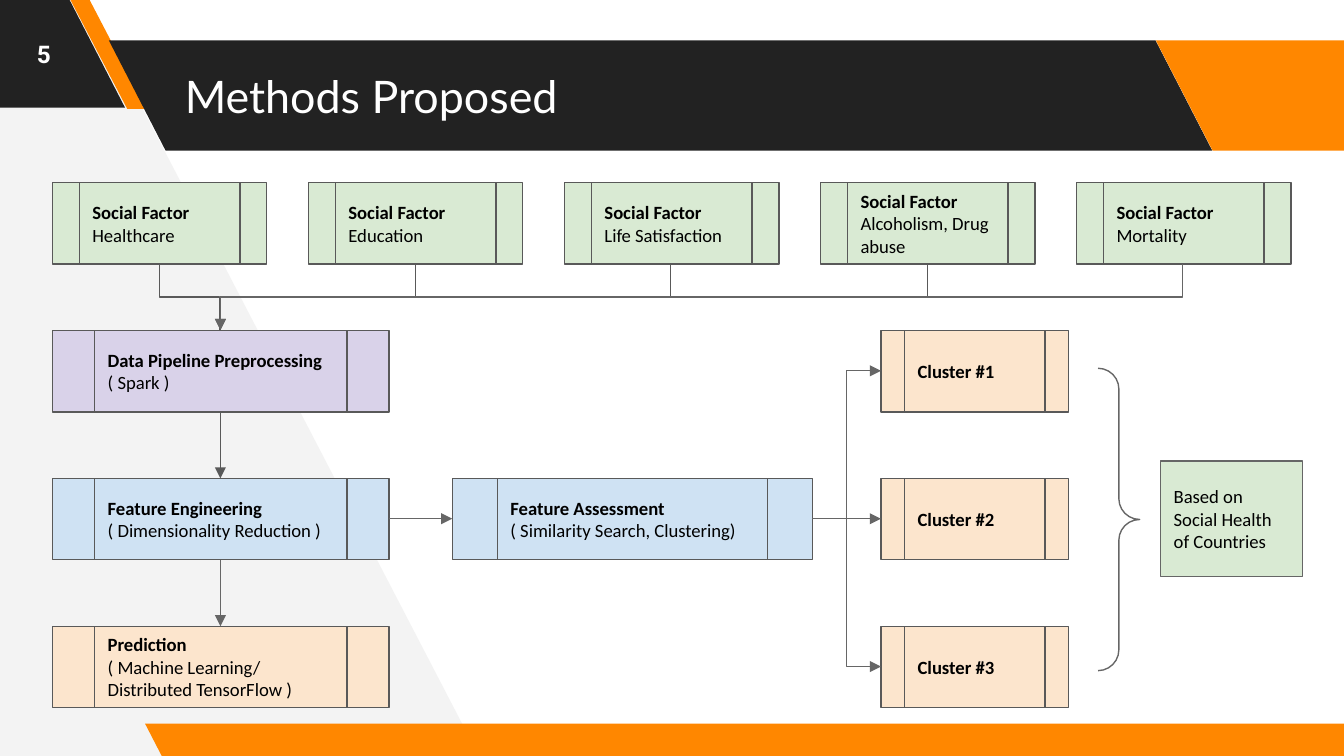
from dataclasses import dataclass

from lxml import etree
from pptx import Presentation
from pptx import util as u
from pptx.dml.color import RGBColor
from pptx.enum import shapes, text
from pptx.oxml.ns import qn

PX = 4572
COLORS = {
    "dark": "222222", "orange": "FF8700", "pale": "F3F3F3", "white": "FFFFFF",
    "black": "000000", "green": "D9EAD3", "violet": "D9D2E9", "blue": "CFE2F3",
    "peach": "FCE5CD", "outline": "595959", "grey": "666666",
}
ROWS = [272 + 220 * row for row in range(4)]
BOX_H = 121
FACTOR_W = 319


@dataclass(frozen=True)
class Band:
    left: int
    top: int
    width: int
    height: int
    color: str
    slant: float = 0.515


@dataclass(frozen=True)
class Box:
    left: int
    row: int
    width: int
    color: str
    heading: str
    detail: str = ""

    @property
    def top(self) -> int:
        return ROWS[self.row]

    @property
    def right(self) -> int:
        return self.left + self.width

    @property
    def bottom(self) -> int:
        return self.top + BOX_H

    @property
    def center(self) -> int:
        return self.left + self.width // 2

    @property
    def middle(self) -> int:
        return self.top + BOX_H // 2


BANDS = [
    Band(-198, -4, 384, 164, "dark"),
    Band(104, -2, 114, 164, "orange", 0.75),
    Band(162, 60, 1642, 164, "dark"),
    Band(1720, 60, 384, 164, "orange"),
    Band(216, 1077, 1830, 50, "orange"),
]
FACTORS = [
    Box(78 + 381 * i, 0, FACTOR_W, "green", "Social Factor", factor)
    for i, factor in enumerate(
        ["Healthcare", "Education", "Life Satisfaction", "Alcoholism, Drug abuse", "Mortality"])
]
PREPROCESSING = Box(78, 1, 501, "violet", "Data Pipeline Preprocessing", "( Spark )")
ENGINEERING = Box(78, 2, 501, "blue", "Feature Engineering", "( Dimensionality Reduction )")
PREDICTION = Box(78, 3, 501, "peach", "Prediction",
                 "( Machine Learning/ Distributed TensorFlow )")
ASSESSMENT = Box(673, 2, 536, "blue", "Feature Assessment", "( Similarity Search, Clustering)")
CLUSTERS = [Box(1311, n, 279, "peach", f"Cluster #{n}") for n in (1, 2, 3)]


def rgb(name: str) -> RGBColor:
    return RGBColor.from_string(COLORS[name])


def emu(*lengths: int) -> list[int]:
    return [length * PX for length in lengths]


def style_line(line, color: str) -> None:
    line.color.rgb = rgb(color)
    line.width = u.Pt(0.75)


def write(frame, lines: list[tuple[str, bool]], size: int, font: str, color: str,
          align=text.PP_ALIGN.LEFT) -> None:
    frame.word_wrap = True
    frame.auto_size = text.MSO_AUTO_SIZE.NONE
    frame.vertical_anchor = text.MSO_ANCHOR.MIDDLE
    frame.margin_left = frame.margin_right = frame.margin_top = frame.margin_bottom = 20 * PX
    for i, (words, bold) in enumerate(lines):
        paragraph = frame.add_paragraph() if i else frame.paragraphs[0]
        paragraph.text = words
        paragraph.alignment = align
        paragraph.font.size = u.Pt(size)
        paragraph.font.name = font
        paragraph.font.bold = bold
        paragraph.font.color.rgb = rgb(color)


def draw_backdrop(slide) -> None:
    builder = slide.shapes.build_freeform(712, 1124, scale=PX)
    builder.add_line_segments([(124, -8), (-12, -8), (-4, 1132)])
    wedge = builder.convert_to_shape()
    wedge.shadow.inherit = False
    wedge.fill.solid()
    wedge.fill.fore_color.rgb = rgb("pale")
    wedge.line.fill.background()


def draw_band(slide, band: Band) -> None:
    stripe = slide.shapes.add_shape(
        shapes.MSO_SHAPE.PARALLELOGRAM, *emu(band.left, band.top, band.width, band.height))
    stripe.adjustments[0] = band.slant
    stripe.shadow.inherit = False
    stripe.fill.solid()
    stripe.fill.fore_color.rgb = rgb(band.color)
    stripe.line.fill.background()
    stripe._element.spPr.find(qn("a:xfrm")).set("flipH", "1")


def draw_box(slide, box: Box) -> None:
    process = slide.shapes.add_shape(
        shapes.MSO_SHAPE.FLOWCHART_PREDEFINED_PROCESS,
        *emu(box.left, box.top, box.width, BOX_H))
    process.shadow.inherit = False
    process.fill.solid()
    process.fill.fore_color.rgb = rgb(box.color)
    style_line(process.line, "outline")
    lines = [(box.heading, True)] + ([(box.detail, False)] if box.detail else [])
    write(process.text_frame, lines, 10, "Calibri", "black")


def draw_link(slide, kind, x1: int, y1: int, x2: int, y2: int,
              color: str = "grey", arrow: bool = True):
    link = slide.shapes.add_connector(kind, *emu(x1, y1, x2, y2))
    style_line(link.line, color)
    properties = link._element.spPr
    if arrow:
        etree.SubElement(properties.find(qn("a:ln")), qn("a:tailEnd"), type="triangle")
    etree.SubElement(properties, qn("a:effectLst"))
    return link


def draw_drop(slide, source: Box, target: Box, color: str, arrow: bool) -> None:
    run = target.center - source.center
    fall = target.top - source.bottom
    mid_x = (source.center + target.center) // 2
    mid_y = (source.bottom + target.top) // 2
    half_w = fall // 2 if run < 0 else -(fall // 2)
    half_h = abs(run) // 2
    link = draw_link(slide, shapes.MSO_CONNECTOR.ELBOW, mid_x - half_w, mid_y - half_h,
                     mid_x + half_w, mid_y + half_h, color, arrow)
    quarter_turns = 1 if run < 0 else 3
    link._element.spPr.find(qn("a:xfrm")).set("rot", str(quarter_turns * 5400000))


def draw_outcome(slide) -> None:
    brace = slide.shapes.add_shape(shapes.MSO_SHAPE.RIGHT_BRACE, *emu(1634, 548, 62, 450))
    brace.adjustments[0] = 0.5
    brace.adjustments[1] = 0.5
    brace.shadow.inherit = False
    brace.fill.background()
    style_line(brace.line, "grey")

    outcome = slide.shapes.add_shape(shapes.MSO_SHAPE.RECTANGLE, *emu(1727, 686, 211, 172))
    outcome.shadow.inherit = False
    outcome.fill.solid()
    outcome.fill.fore_color.rgb = rgb("green")
    style_line(outcome.line, "grey")
    write(outcome.text_frame, [("Based on Social Health of Countries", False)],
          10, "Calibri", "black")


def draw_header(slide) -> None:
    title = slide.shapes.title
    title.left, title.top, title.width, title.height = emu(242, 60, 1470, 164)
    write(title.text_frame, [("Methods Proposed", False)], 24, "Lato", "white")
    title.text_frame.margin_left = 33 * PX
    slide.shapes._spTree.append(title._element)

    number = slide.shapes.add_textbox(*emu(0, 0, 130, 160))
    write(number.text_frame, [("5", True)], 13, "Roboto", "white", text.PP_ALIGN.CENTER)


def main() -> None:
    deck = Presentation()
    deck.slide_width, deck.slide_height = emu(2000, 1125)
    slide = deck.slides.add_slide(deck.slide_layouts[5])

    draw_backdrop(slide)
    for band in BANDS:
        draw_band(slide, band)
    draw_header(slide)
    for box in [*FACTORS, PREPROCESSING, ENGINEERING, PREDICTION, ASSESSMENT, *CLUSTERS]:
        draw_box(slide, box)

    for i, factor in enumerate(FACTORS):
        draw_drop(slide, factor, PREPROCESSING, "grey" if i == 4 else "outline", i >= 3)
    straight, elbow = shapes.MSO_CONNECTOR.STRAIGHT, shapes.MSO_CONNECTOR.ELBOW
    for upper, lower, color in [(PREPROCESSING, ENGINEERING, "outline"),
                                (ENGINEERING, PREDICTION, "grey")]:
        draw_link(slide, straight, upper.center, upper.bottom, lower.center, lower.top, color)
    draw_link(slide, straight, ENGINEERING.right, ENGINEERING.middle,
              ASSESSMENT.left, ASSESSMENT.middle)
    for cluster in CLUSTERS:
        kind = straight if cluster.row == ASSESSMENT.row else elbow
        draw_link(slide, kind, ASSESSMENT.right, ASSESSMENT.middle, cluster.left, cluster.middle)

    draw_outcome(slide)
    deck.save("out.pptx")


if __name__ == "__main__":
    main()
